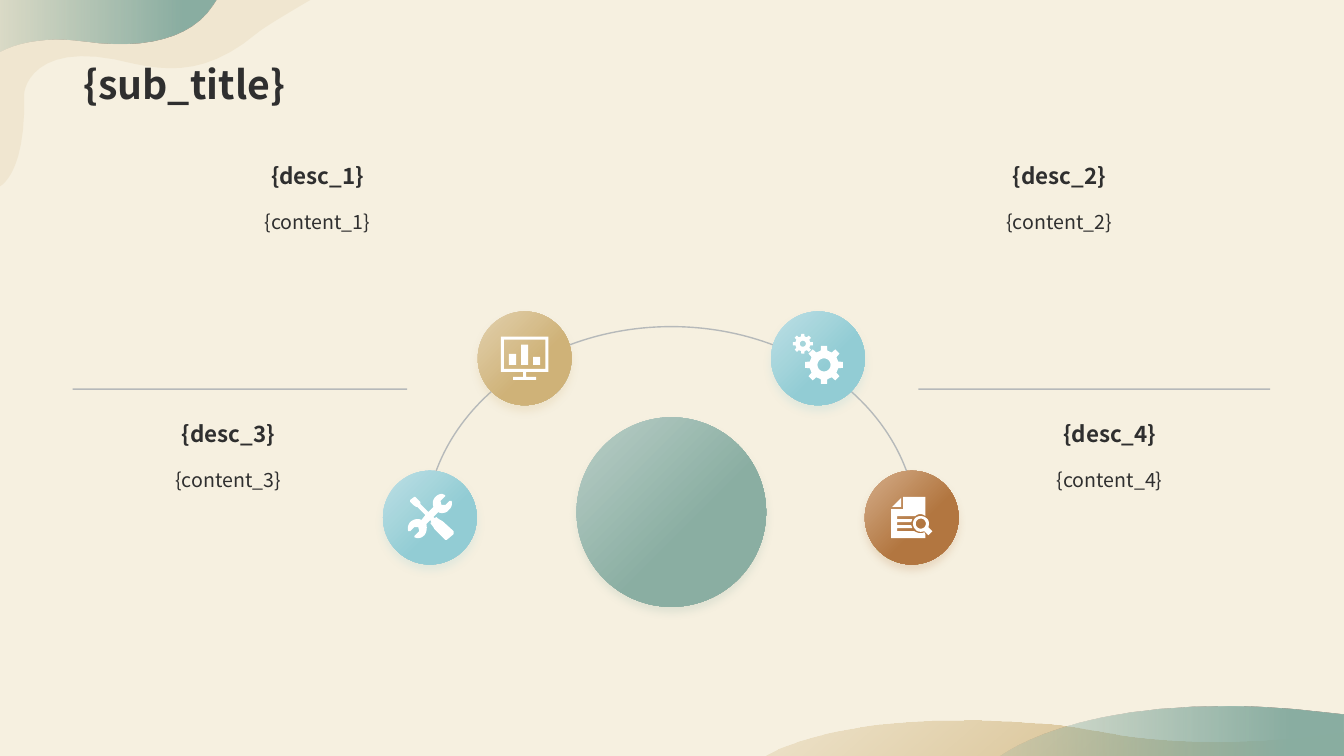
from math import cos, radians, sin
from lxml.etree import SubElement
from pptx import Presentation
from pptx.dml.color import RGBColor
from pptx.enum.shapes import MSO_CONNECTOR, MSO_SHAPE
from pptx.enum.text import MSO_ANCHOR as ANCHOR, MSO_AUTO_SIZE as AUTO_SIZE, PP_ALIGN as ALIGN
from pptx.oxml.ns import qn
from pptx.util import Pt

PX = 9144
FONT = "Noto Sans CJK SC"
CREAM = RGBColor(0xF6, 0xF0, 0xE0)
INK = RGBColor(0x2F, 0x2F, 0x2F)
WHITE = RGBColor(0xFF, 0xFF, 0xFF)
SLATE = RGBColor(0x77, 0x84, 0x95)
SAGE = RGBColor(0x8A, 0xAE, 0xA2)
LIGHT_SAGE = RGBColor(0xB9, 0xCE, 0xC7)
SAND = RGBColor(0xCF, 0xB2, 0x78)
LIGHT_SAND = RGBColor(0xE2, 0xD1, 0xAE)
AQUA = RGBColor(0x92, 0xCC, 0xD4)
LIGHT_AQUA = RGBColor(0xBE, 0xE0, 0xE5)
RUST = RGBColor(0xB2, 0x76, 0x40)
LIGHT_RUST = RGBColor(0xD4, 0xAD, 0x89)

SAND_WAVE = [(956, 715), (989, 715, 1038, 717, 1070, 722), (1103, 727, 1179, 746, 1319, 728),
             (1333, 726), (1333, 750), (757, 750), (765, 745, 823, 714, 956, 715)]
SAGE_WAVE = [(1219, 701), (1247, 701, 1279, 703, 1313, 707), (1333, 709), (1333, 750),
             (993, 750), (1003, 743, 1068, 700, 1219, 701)]
SAND_CORNER = [(-2, 186), (-2, 186, 26, 177, 24, 94), (24, 85, 36, 44, 114, 59),
               (157, 69, 199, 80, 255, 33), (263, 26, 308, 0, 308, 0), (0, 0)]
SAGE_CORNER = [(-1, 0), (215, 0), (211, 6), (190, 38, 143, 49, 85, 41),
               (42, 35, 14, 44, 1, 51), (-1, 52)]
TOOLS = [(450, 527), (439, 517), (437, 516), (434, 514), (433, 513), (431, 514), (430, 513),
         (435, 508), (436, 509, 437, 509, 439, 509), (441, 509, 444, 508, 445, 506),
         (448, 504, 449, 500, 448, 497), (446, 497), (442, 501), (438, 501), (437, 497),
         (442, 492), (441, 491), (439, 490), (436, 490, 434, 491, 432, 493),
         (429, 496, 429, 500, 430, 503), (425, 508), (417, 500), (417, 498), (415, 496),
         (412, 493), (411, 493), (407, 496), (407, 498), (410, 501), (413, 503), (414, 503),
         (422, 511), (418, 516), (417, 515, 415, 515, 414, 515),
         (412, 515, 409, 516, 407, 518), (405, 520, 404, 524, 405, 527), (407, 527),
         (411, 523), (415, 523), (416, 527), (411, 532), (411, 533), (414, 534),
         (417, 534, 419, 533, 421, 531), (423, 529, 424, 524, 423, 520), (427, 516),
         (428, 518), (427, 519), (430, 523), (431, 525), (441, 535),
         (442, 536, 443, 536, 444, 535), (450, 530)]
MONITOR = [(497, 334), (544, 334), (544, 369), (522, 369), (522, 374), (532, 374),
           (532, 377), (509, 377), (509, 374), (519, 374), (519, 369), (497, 369)]
PAGE = [(896, 493), (918, 493), (918, 512), (917, 511, 915, 510, 913, 510),
        (911, 510, 909, 511, 908, 512), (890, 512), (890, 515), (905, 515),
        (905, 516, 904, 517, 904, 518), (890, 518), (890, 521), (904, 521),
        (904, 522, 905, 523, 905, 524), (890, 524), (890, 527), (907, 527),
        (909, 528, 911, 529, 913, 529), (914, 529, 915, 529, 917, 528), (918, 530),
        (918, 534), (884, 534), (884, 505), (896, 505)]
FOLD = [(894, 494), (894, 503), (885, 503)]
LENS = [(913, 512), (916, 512, 918, 513, 919, 514), (922, 516, 922, 520, 921, 523),
        (925, 527), (921, 531), (917, 527), (914, 528, 910, 528, 908, 525),
        (905, 522, 905, 517, 908, 514), (909, 513, 911, 512, 913, 512)]


def box(*lengths):
    return [round(v * PX) for v in lengths]


def flatten(steps, n=12):
    points = []
    for step in steps:
        if len(step) == 2:
            points.append(step)
            continue
        (x0, y0), (x1, y1, x2, y2, x3, y3) = points[-1], step
        for t in (i / n for i in range(1, n + 1)):
            a, b, c, d = (1 - t) ** 3, 3 * t * (1 - t) ** 2, 3 * t * t * (1 - t), t ** 3
            points.append((a * x0 + b * x1 + c * x2 + d * x3, a * y0 + b * y1 + c * y2 + d * y3))
    return points


def polar(cx, cy, radius, degrees):
    return cx + radius * cos(radians(degrees)), cy + radius * sin(radians(degrees))


def round_hole(cx, cy, radius):
    return [polar(cx, cy, radius, -a) for a in range(0, 360, 10)]


def gear(cx, cy, outer, root, hole):
    tooth = [(-13, root), (-9, outer), (9, outer), (13, root)]
    rim = [polar(cx, cy, r, a + da) for a in range(0, 360, 45) for da, r in tooth]
    return [rim, round_hole(cx, cy, hole)]


def rect(left, top, right, bottom):
    return [(left, top), (right, top), (right, bottom), (left, bottom)]


def add_outline(shapes, contours):
    loops = [[box(*point) for point in flatten(c)] for c in contours]
    builder = shapes.build_freeform(*loops[0][0])
    for i, loop in enumerate(loops):
        if i:
            builder.move_to(*loop[0])
        builder.add_line_segments(loop[1:], close=True)
    sp = builder.convert_to_shape()
    sp.shadow.inherit = False
    sp.line.fill.background()
    return sp


def set_alpha(clr, percent):
    SubElement(clr, qn("a:alpha"), val=str(percent * 1000))


def set_solid(sp, color):
    sp.fill.solid()
    sp.fill.fore_color.rgb = color


def set_gradient(sp, start, end, end_at, angle):
    sp.fill.gradient()
    sp.fill.gradient_angle = -angle % 360
    for stop, color, position in zip(sp.fill.gradient_stops, (start, end), (0, end_at)):
        stop.color.rgb = color
        stop.position = position


def add_wave(s, steps, color, end_at, angle):
    sp = add_outline(s.shapes, [steps])
    set_gradient(sp, color, color, end_at, angle)
    set_alpha(sp.element.xpath(".//a:gs/a:srgbClr")[0], 20)


def style_line(sp):
    sp.line.color.rgb = SLATE
    sp.line.width = Pt(1)
    set_alpha(sp.element.xpath(".//a:ln//a:srgbClr")[0], 50)


def add_disc(shapes, left, top, size, light, color):
    sp = shapes.add_shape(MSO_SHAPE.OVAL, *box(left, top, size, size))
    set_gradient(sp, light, color, 0.6, 45)
    sp.line.fill.background()
    sp.shadow.inherit = False
    effects = sp.element.spPr.find(qn("a:effectLst"))
    shadow = SubElement(effects, qn("a:outerShdw"), blurRad=str(Pt(6)), dist=str(Pt(4)),
                        dir="5400000", algn="t", rotWithShape="0")
    set_alpha(SubElement(shadow, qn("a:srgbClr"), val=str(color)), 20)


def add_badge(s, left, top, light, color, contours):
    group = s.shapes.add_group_shape()
    add_disc(group.shapes, left, top, 93, light, color)
    set_solid(add_outline(group.shapes, contours), WHITE)


def add_rule(s, left, right, y):
    line = s.shapes.add_connector(MSO_CONNECTOR.STRAIGHT, *box(left, y, right, y))
    style_line(line)
    SubElement(line.element.spPr, qn("a:effectLst"))


def write(tf, text, size, bold, align, spacing, anchor):
    tf.text = text
    tf.word_wrap = True
    tf.vertical_anchor = anchor
    p = tf.paragraphs[0]
    p.alignment = align
    p.line_spacing = spacing
    font = p.runs[0].font
    font.name, font.size, font.bold = FONT, Pt(size), bold
    font.color.rgb = INK


def add_text(s, left, top, width, height, *style):
    tf = s.shapes.add_textbox(*box(left, top, width, height)).text_frame
    write(tf, *style)
    tf.auto_size = AUTO_SIZE.SHAPE_TO_FIT_TEXT


def add_item(s, number, left, top, width):
    add_text(s, left, top, width, 37, f"{{desc_{number}}}", 16, True, ALIGN.CENTER, 1.0, ANCHOR.BOTTOM)
    add_text(s, left, top + 44, width, 38, f"{{content_{number}}}", 14, False, ALIGN.CENTER, 1.2, ANCHOR.TOP)


def add_title(s, text):
    title = s.shapes.title
    title.left, title.top, title.width, title.height = box(73, 0, 1187, 112)
    write(title.text_frame, text, 28, True, ALIGN.LEFT, 0.9, ANCHOR.BOTTOM)
    title.text_frame.auto_size = AUTO_SIZE.NONE
    s.shapes.element.append(title.element)


def main():
    prs = Presentation()
    prs.slide_width, prs.slide_height = box(1333.33, 750)
    s = prs.slides.add_slide(prs.slide_layouts[5])
    set_solid(s.background, CREAM)

    add_wave(s, SAND_WAVE, SAND, 1, 50)
    add_wave(s, SAGE_WAVE, SAGE, 0.85, 0)
    corner = add_outline(s.shapes, [SAND_CORNER])
    set_solid(corner, SAND)
    set_alpha(corner.element.xpath(".//a:solidFill/a:srgbClr")[0], 15)
    add_wave(s, SAGE_CORNER, SAGE, 0.85, 0)

    add_disc(s.shapes, 572, 414, 188, LIGHT_SAGE, SAGE)
    arc = s.shapes.add_shape(MSO_SHAPE.ARC, *box(422, 324, 488, 405))
    arc.adjustments[0], arc.adjustments[1] = 108, 0.206
    arc.shadow.inherit = False
    arc.fill.background()
    style_line(arc)
    add_rule(s, 72, 404, 386)
    add_rule(s, 911, 1260, 386)

    bars = [rect(505, 351, 512, 362), rect(517, 342, 524, 362), rect(529, 354, 536, 362)]
    monitor = [MONITOR, rect(500, 337, 541, 366)[::-1], *bars]
    gears = gear(817.5, 362, 19, 14.5, 6.5) + gear(796.5, 341, 10, 7.5, 3)
    report = [PAGE, FOLD, LENS, round_hole(913.5, 519.5, 5)]
    add_badge(s, 380, 467, LIGHT_AQUA, AQUA, [TOOLS])
    add_badge(s, 474, 309, LIGHT_SAND, SAND, monitor)
    add_badge(s, 765, 309, LIGHT_AQUA, AQUA, gears)
    add_badge(s, 858, 467, LIGHT_RUST, RUST, report)

    items = [(133, 155, 364), (858, 155, 386), (72, 411, 309), (943, 411, 316)]
    for number, place in enumerate(items, 1):
        add_item(s, number, *place)
    add_title(s, "{sub_title}")
    prs.save("out.pptx")


if __name__ == "__main__":
    main()
